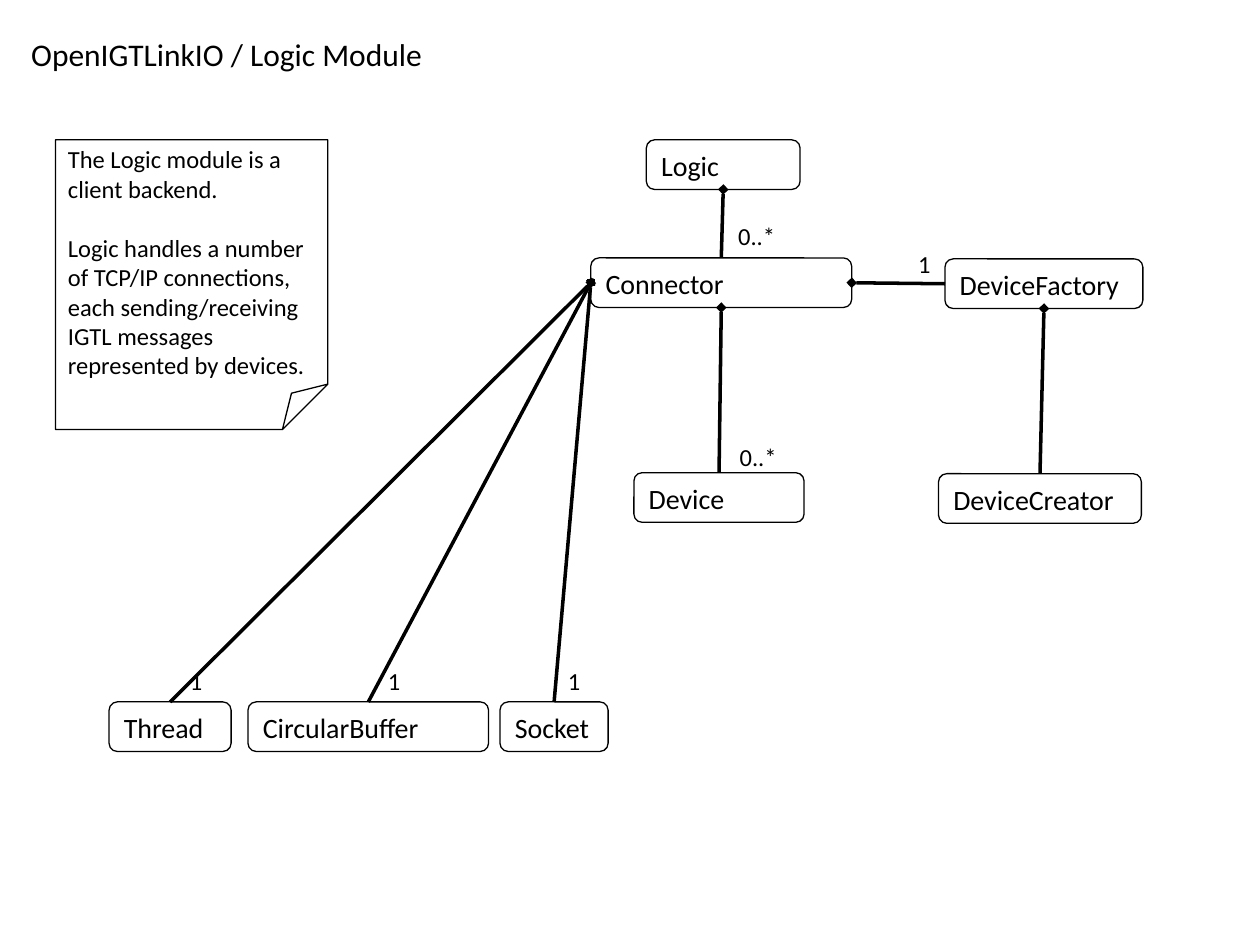
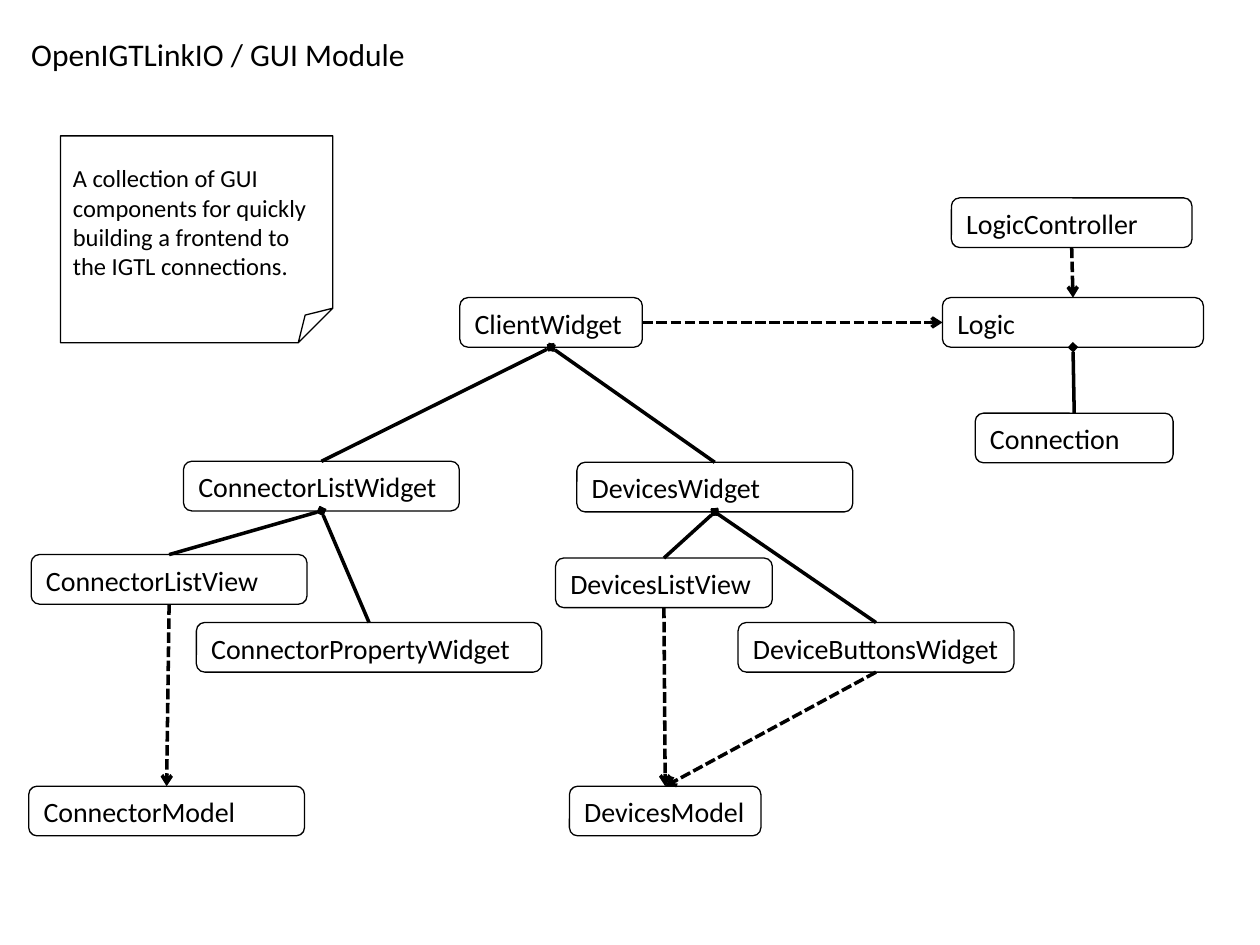
from lxml import etree
from pptx import Presentation
from pptx.dml.color import RGBColor
from pptx.enum.dml import MSO_LINE
from pptx.enum.shapes import MSO_CONNECTOR, MSO_SHAPE
from pptx.enum.text import MSO_ANCHOR, MSO_AUTO_SIZE, PP_ALIGN
from pptx.oxml.ns import qn
from pptx.util import Cm, Pt

ROUNDED = MSO_SHAPE.ROUNDED_RECTANGLE
FOLDED = MSO_SHAPE.FOLDED_CORNER
STRAIGHT = MSO_CONNECTOR.STRAIGHT
DASHED = MSO_LINE.SQUARE_DOT
TOP, MIDDLE = MSO_ANCHOR.TOP, MSO_ANCHOR.MIDDLE
LEFT_ALIGNED = PP_ALIGN.LEFT
FIT_TEXT = MSO_AUTO_SIZE.SHAPE_TO_FIT_TEXT

INK = "000000"
FONT = "Calibri"
CLASS_HEIGHT = 1
TOP_SIDE, LEFT_SIDE, BOTTOM_SIDE, RIGHT_SIDE = range(4)


def color(value):
    return RGBColor.from_string(value)


def write(shape, paragraphs, size, anchor=TOP, wrap=True):
    frame = shape.text_frame
    frame.word_wrap = wrap
    frame.vertical_anchor = anchor
    for index, text in enumerate(paragraphs):
        paragraph = frame.paragraphs[0] if index == 0 else frame.add_paragraph()
        paragraph.alignment = LEFT_ALIGNED
        if index < len(paragraphs) - 1:
            paragraph.space_after = Pt(17)
        run = paragraph.add_run()
        run.text = text
        run.font.name = FONT
        run.font.size = Pt(size)
        run.font.color.rgb = color(INK)


logic_module = {
    "title": ("OpenIGTLinkIO / Logic Module", 8.48),
    "note": (1.12, 2.82, 5.84, [
        "The Logic module is a client backend. ",
        "Logic handles a number of TCP/IP connections, each sending/receiving "
        "IGTL messages represented by devices.",
    ]),
    "classes": {
        "Logic": (13.03, 2.82, 3.1),
        "Connector": (11.91, 5.2, 5.26),
        "DeviceFactory": (19.05, 5.22, 3.99),
        "Device": (12.78, 9.53, 3.43),
        "DeviceCreator": (18.92, 9.55, 4.09),
        "Thread": (2.2, 14.15, 2.46),
        "CircularBuffer": (5, 14.15, 4.85),
        "Socket": (10.08, 14.15, 2.18),
    },
    "compositions": [
        ("Connector", TOP_SIDE, "Logic", BOTTOM_SIDE),
        ("Device", TOP_SIDE, "Connector", BOTTOM_SIDE),
        ("DeviceFactory", LEFT_SIDE, "Connector", RIGHT_SIDE),
        ("DeviceCreator", TOP_SIDE, "DeviceFactory", BOTTOM_SIDE),
        ("Thread", TOP_SIDE, "Connector", LEFT_SIDE),
        ("CircularBuffer", TOP_SIDE, "Connector", LEFT_SIDE),
        ("Socket", TOP_SIDE, "Connector", LEFT_SIDE),
    ],
    "dependencies": [],
    "multiplicities": [
        ("0..*", 14.63, 4.34, 1.27),
        ("0..*", 14.66, 8.79, 1.27),
        ("1", 18.26, 4.9, 0.76),
        ("1", 3.58, 13.31, 0.76),
        ("1", 7.57, 13.31, 0.76),
        ("1", 11.2, 13.31, 0.76),
    ],
}

gui_module = {
    "title": ("OpenIGTLinkIO / GUI Module", 8.13),
    "note": (1.22, 2.74, 4.17, [
        "A collection of GUI components for quickly building a frontend "
        "to the IGTL connections.",
    ]),
    "classes": {
        "LogicController": (19.18, 3.99, 4.85),
        "Logic": (19, 6, 5.26),
        "Connection": (19.66, 8.33, 3.99),
        "ClientWidget": (9.27, 6, 3.68),
        "ConnectorListWidget": (3.7, 9.3, 5.56),
        "DevicesWidget": (11.63, 9.32, 5.56),
        "ConnectorListView": (0.63, 11.18, 5.56),
        "ConnectorPropertyWidget": (3.96, 12.55, 6.96),
        "DevicesListView": (11.2, 11.25, 4.37),
        "DeviceButtonsWidget": (14.88, 12.55, 5.56),
        "ConnectorModel": (0.58, 15.85, 5.56),
        "DevicesModel": (11.48, 15.85, 3.86),
    },
    "compositions": [
        ("Connection", TOP_SIDE, "Logic", BOTTOM_SIDE),
        ("ConnectorListWidget", TOP_SIDE, "ClientWidget", BOTTOM_SIDE),
        ("DevicesWidget", TOP_SIDE, "ClientWidget", BOTTOM_SIDE),
        ("ConnectorListView", TOP_SIDE, "ConnectorListWidget", BOTTOM_SIDE),
        ("ConnectorPropertyWidget", TOP_SIDE, "ConnectorListWidget", BOTTOM_SIDE),
        ("DevicesListView", TOP_SIDE, "DevicesWidget", BOTTOM_SIDE),
        ("DeviceButtonsWidget", TOP_SIDE, "DevicesWidget", BOTTOM_SIDE),
    ],
    "dependencies": [
        ("LogicController", BOTTOM_SIDE, "Logic", TOP_SIDE),
        ("ClientWidget", RIGHT_SIDE, "Logic", LEFT_SIDE),
        ("ConnectorListView", BOTTOM_SIDE, "ConnectorModel", TOP_SIDE),
        ("DevicesListView", BOTTOM_SIDE, "DevicesModel", TOP_SIDE),
        ("DeviceButtonsWidget", BOTTOM_SIDE, "DevicesModel", TOP_SIDE),
    ],
    "multiplicities": [],
}

deck = Presentation()
deck.slide_width, deck.slide_height = Cm(25.4), Cm(19.05)

for module in (logic_module, gui_module):
    slide = deck.slides.add_slide(deck.slide_layouts[6])

    title, title_width = module["title"]
    labels = [(title, 0.38, 0.58, title_width, 1.02, 18)]
    labels += [(text, left, top, width, 0.86, 14)
               for text, left, top, width in module["multiplicities"]]
    for text, left, top, width, height, size in labels:
        label = slide.shapes.add_textbox(Cm(left), Cm(top), Cm(width), Cm(height))
        write(label, [text], size, wrap=False)
        label.text_frame.auto_size = FIT_TEXT

    left, top, height, remarks = module["note"]
    note = slide.shapes.add_shape(FOLDED, Cm(left), Cm(top), Cm(5.49), Cm(height))
    write(note, remarks, 14, anchor=MIDDLE)

    classes = {}
    for name, (left, top, width) in module["classes"].items():
        classes[name] = slide.shapes.add_shape(
            ROUNDED, Cm(left), Cm(top), Cm(width), Cm(CLASS_HEIGHT))
        write(classes[name], [name], 16)
        classes[name].text_frame.margin_right = 0

    for outlined in (note, *classes.values()):
        outlined.shadow.inherit = False
        outlined.fill.background()
        outlined.line.color.rgb = color(INK)
        outlined.line.width = Pt(0.75)

    for relation, head in (("compositions", "diamond"), ("dependencies", "arrow")):
        for source, source_side, target, target_side in module[relation]:
            link = slide.shapes.add_connector(STRAIGHT, 0, 0, 0, 0)
            link.begin_connect(classes[source], source_side)
            link.end_connect(classes[target], target_side)
            link.line.color.rgb = color(INK)
            link.line.width = Pt(2)
            if relation == "dependencies":
                link.line.dash_style = DASHED
            properties = link.element.spPr
            etree.SubElement(properties.get_or_add_ln(), qn("a:tailEnd"), type=head)
            etree.SubElement(properties, qn("a:effectLst"))

deck.save("out.pptx")
